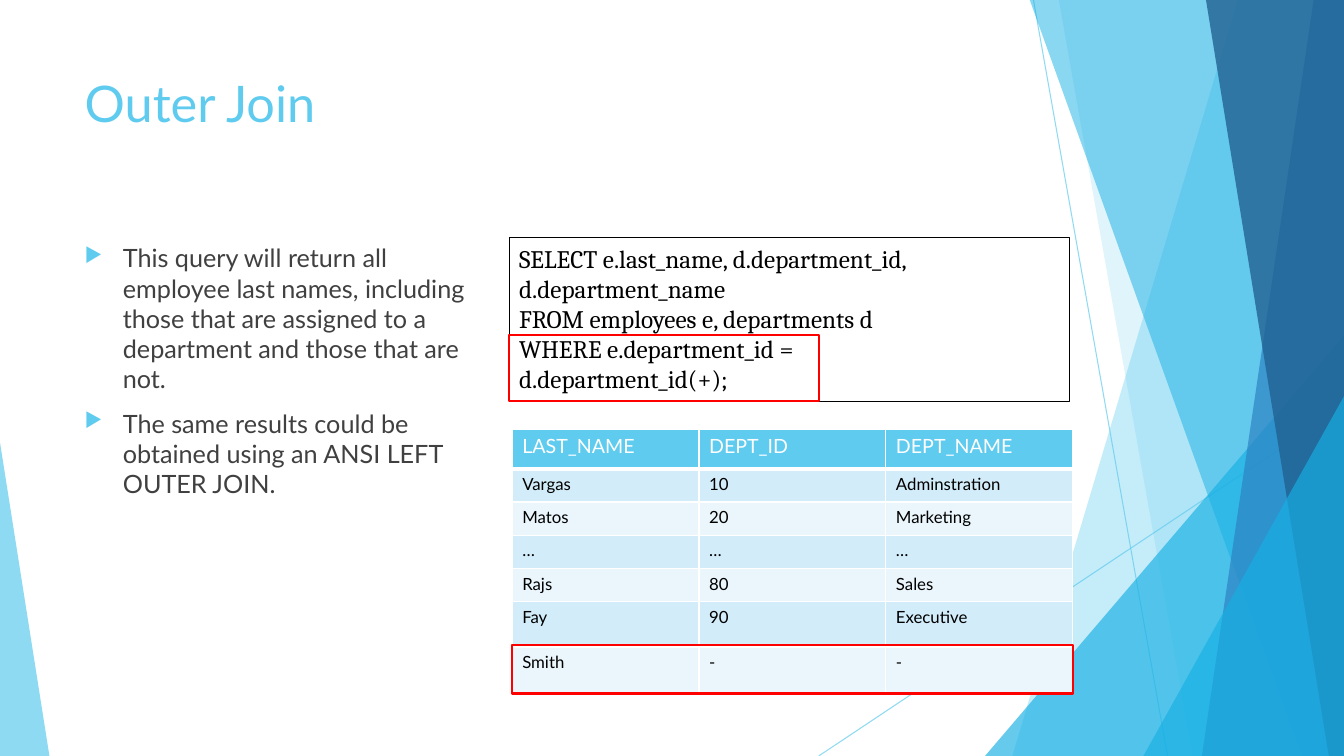
from dataclasses import dataclass

from lxml.etree import SubElement
from pptx import Presentation
from pptx.dml.color import RGBColor
from pptx.enum.shapes import MSO_CONNECTOR, MSO_SHAPE
from pptx.enum.text import MSO_ANCHOR, PP_ALIGN
from pptx.oxml.ns import qn
from pptx.util import Pt

PX = 9144  # EMU per px, 100 px to the inch
SANS, SERIF = "Lato", "Cambria"
HUES = {
    "sky": "5FCBEF", "cyan": "17B0E4", "blue": "2E83C3", "navy": "226292",
    "black": "000000", "white": "FFFFFF", "gray": "404040", "red": "FF0000",
    "band": "D2ECF9", "pale": "EAF6FC",
}


@dataclass
class Box:
    left: int
    top: int
    width: int
    height: int

    def emu(self) -> list[int]:
        return [n * PX for n in (self.left, self.top, self.width, self.height)]


@dataclass
class Facet:
    points: list[tuple[int, int]]
    hue: str
    alpha: int


@dataclass
class Wedge:
    box: Box
    tip: int
    hue: str
    alpha: int


@dataclass
class Ray:
    start: tuple[int, int]
    end: tuple[int, int]


@dataclass
class Frame:
    box: Box
    hue: str
    weight: float


RAYS = [Ray((1025, 0), (1158, 750)), Ray((1333, 403), (812, 750))]
DECOR = [
    Facet([(1228, -1), (1333, -1), (1333, 750), (1004, 750)], "sky", 36),
    Facet([(1050, -1), (1333, -1), (1333, 750), (1183, 750)], "sky", 20),
    Wedge(Box(977, 333, 356, 417), 1, "cyan", 66),
    Facet([(1021, -1), (1333, -1), (1333, 750), (1291, 750)], "cyan", 50),
    Facet([(1303, -1), (1333, -1), (1333, 750), (1192, 750)], "blue", 70),
    Facet([(1196, -1), (1333, -1), (1333, 750), (1318, 750)], "navy", 80),
    Wedge(Box(1134, 393, 199, 357), 1, "cyan", 66),
    Wedge(Box(0, 439, 49, 311), 0, "sky", 70),
]
QUERY = [
    "SELECT e.last_name, d.department_id,",
    "d.department_name",
    "FROM employees e, departments d",
    "WHERE e.department_id =",
    "d.department_id(+);",
]
POINTS = [
    "This query will return all employee last names, including those that "
    "are assigned to a department and those that are not.",
    "The same results could be obtained using an ANSI LEFT OUTER JOIN.",
]
ROWS = [
    ("LAST_NAME", "DEPT_ID", "DEPT_NAME"),
    ("Vargas", "10", "Adminstration"),
    ("Matos", "20", "Marketing"),
    ("…", "…", "…"),
    ("Rajs", "80", "Sales"),
    ("Fay", "90", "Executive"),
    ("Smith", "-", "-"),
]
HEIGHTS = [39, 33, 33, 33, 33, 45, 46]
CODE = Frame(Box(505, 236, 556, 162), "black", 0.75)
MARKS = [
    Frame(Box(508, 640, 556, 48), "red", 1.5),
    Frame(Box(505, 332, 307, 66), "red", 1.5),
]


def color(hue: str) -> RGBColor:
    return RGBColor.from_string(HUES[hue])


def fade(part, alpha: int) -> None:
    """Set the opacity, in percent, of the colour inside an XML part."""
    tone = next(part.iter(qn("a:srgbClr")))
    SubElement(tone, qn("a:alpha"), val=str(alpha * 1000))


def write(para, text: str, size: int, hue: str, font: str = SANS) -> None:
    run = para.add_run()
    run.text = text
    run.font.size = Pt(size)
    run.font.name = font
    run.font.color.rgb = color(hue)
    para.alignment = PP_ALIGN.LEFT


def draw_ray(slide, ray: Ray) -> None:
    ends = [n * PX for n in (*ray.start, *ray.end)]
    line = slide.shapes.add_connector(MSO_CONNECTOR.STRAIGHT, *ends)
    line.line.color.rgb = color("sky")
    line.line.width = Pt(0.75)
    props = line._element.spPr
    fade(props, 70)
    SubElement(props, qn("a:effectLst"))


def draw_decor(slide, item: Facet | Wedge) -> None:
    if isinstance(item, Facet):
        pen = slide.shapes.build_freeform(*item.points[0], scale=PX)
        pen.add_line_segments(item.points[1:], close=True)
        shape = pen.convert_to_shape()
    else:
        shape = slide.shapes.add_shape(
            MSO_SHAPE.ISOSCELES_TRIANGLE, *item.box.emu())
        shape.adjustments[0] = item.tip
    shape.shadow.inherit = False
    shape.fill.solid()
    shape.fill.fore_color.rgb = color(item.hue)
    shape.line.fill.background()
    fade(shape._element.spPr, item.alpha)


def draw_frame(slide, frame: Frame):
    shape = slide.shapes.add_shape(MSO_SHAPE.RECTANGLE, *frame.box.emu())
    shape.shadow.inherit = False
    shape.fill.background()
    shape.line.color.rgb = color(frame.hue)
    shape.line.width = Pt(frame.weight)
    return shape


def fill_title(slide) -> None:
    title = slide.shapes.title
    title.left, title.top, title.width, title.height = Box(74, 67, 940, 144).emu()
    title.text_frame.vertical_anchor = MSO_ANCHOR.TOP
    write(title.text_frame.paragraphs[0], "Outer Join", 36, "sky")


def draw_code(slide) -> None:
    text = draw_frame(slide, CODE).text_frame
    text.word_wrap = True
    text.vertical_anchor = MSO_ANCHOR.TOP
    for i, line in enumerate(QUERY):
        para = text.add_paragraph() if i else text.paragraphs[0]
        write(para, line, 18, "black", SERIF)


def draw_points(slide) -> None:
    text = slide.shapes.add_textbox(*Box(74, 236, 418, 427).emu()).text_frame
    text.word_wrap = True
    for i, point in enumerate(POINTS):
        para = text.add_paragraph() if i else text.paragraphs[0]
        write(para, point, 18, "gray")
        para.space_before = Pt(10)
        props = para._p.get_or_add_pPr()
        props.set("marL", str(38 * PX))
        props.set("indent", str(-38 * PX))
        tone = SubElement(props, qn("a:buClr"))
        SubElement(tone, qn("a:srgbClr"), val=HUES["sky"])
        SubElement(props, qn("a:buSzPct"), val="80000")
        SubElement(props, qn("a:buChar"), char="▶")


def edge(cell, head: bool) -> None:
    """Give a cell white borders, thick below the head row."""
    props = cell._tc.get_or_add_tcPr()
    for side in "LRTB":
        width = Pt(3 if head and side == "B" else 1)
        line = SubElement(props, qn(f"a:ln{side}"), w=str(width))
        fill = SubElement(line, qn("a:solidFill"))
        SubElement(fill, qn("a:srgbClr"), val=HUES["white"])


def draw_table(slide) -> None:
    box = Box(508, 426, 556, sum(HEIGHTS))
    table = slide.shapes.add_table(len(ROWS), len(ROWS[0]), *box.emu()).table
    for r, (row, height) in enumerate(zip(ROWS, HEIGHTS)):
        table.rows[r].height = height * PX
        head = r == 0
        hue = "sky" if head else "band" if r % 2 else "pale"
        for c, value in enumerate(row):
            cell = table.cell(r, c)
            edge(cell, head)
            cell.fill.solid()
            cell.fill.fore_color.rgb = color(hue)
            write(cell.text_frame.paragraphs[0], value,
                  14 if head else 12, "white" if head else "black")


def main() -> None:
    deck = Presentation()
    deck.slide_width, deck.slide_height = 1333 * PX, 750 * PX
    slide = deck.slides.add_slide(deck.slide_layouts.get_by_name("Title Only"))
    for ray in RAYS:
        draw_ray(slide, ray)
    for item in DECOR:
        draw_decor(slide, item)
    fill_title(slide)
    draw_code(slide)
    draw_table(slide)
    draw_points(slide)
    for mark in MARKS:
        draw_frame(slide, mark)
    deck.save("out.pptx")


if __name__ == "__main__":
    main()
